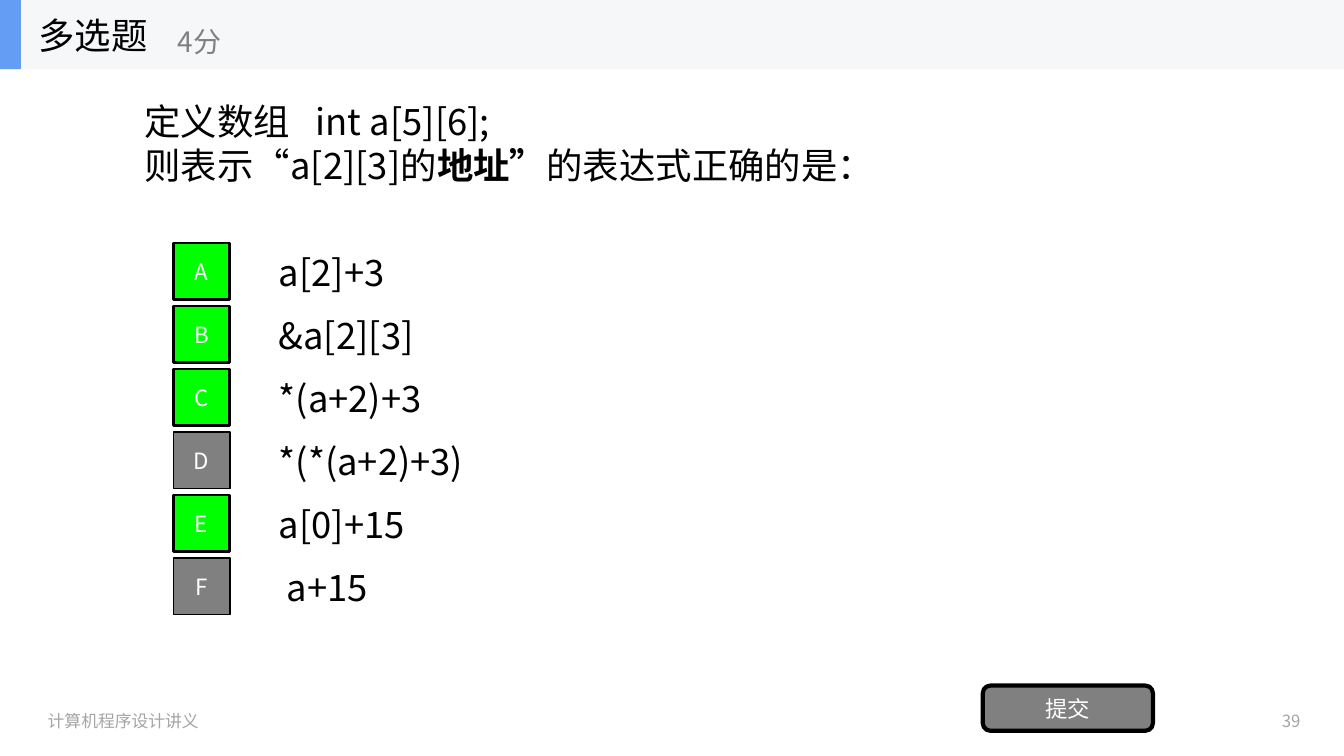
from collections import namedtuple

from lxml.etree import SubElement
from pptx import Presentation
from pptx.dml.color import RGBColor
from pptx.enum.shapes import MSO_SHAPE as Preset
from pptx.enum.text import MSO_ANCHOR, MSO_AUTO_SIZE, PP_ALIGN as Align
from pptx.oxml.ns import qn
from pptx.util import Inches, Pt

FONT = "Noto Sans CJK SC"
BLACK = RGBColor(0x00, 0x00, 0x00)
WHITE = RGBColor(0xFF, 0xFF, 0xFF)
GREEN = RGBColor(0x00, 0xFF, 0x00)
GRAY = RGBColor(0x80, 0x80, 0x80)
FOOTER_GRAY = RGBColor(0xA5, 0xA5, 0xA5)
BAR_GRAY = RGBColor(0xF6, 0xF7, 0xF8)
ACCENT_BLUE = RGBColor(0x63, 0x9E, 0xF4)

WIDTH, HEIGHT = Inches(13.33), Inches(7.5)
COLUMNS, ROWS = 64, 36
OPTION_PITCH = 3
INT_TAB = Inches(1.7)

OPTIONS = [
    ("A", "a[2]+3", True),
    ("B", "&a[2][3]", True),
    ("C", "*(a+2)+3", True),
    ("D", "*(*(a+2)+3)", False),
    ("E", "a[0]+15", True),
    ("F", " a+15", False),
]
QUESTION = [
    [("定义数组\tint a[5][6];", False)],
    [("则表示“a[2][3]的", False), ("地址”", True), ("的表达式正确的是：", False)],
]


class Box(namedtuple("Box", "col row cols rows")):
    def inner(self, col, row, cols, rows):
        return Box(self.col + col, self.row + row, cols, rows)

    def lengths(self):
        return (int(self.col * WIDTH / COLUMNS), int(self.row * HEIGHT / ROWS),
                int(self.cols * WIDTH / COLUMNS), int(self.rows * HEIGHT / ROWS))


def write(shape, lines, size, color, align=Align.LEFT):
    frame = shape.text_frame
    frame.word_wrap = True
    frame.auto_size = MSO_AUTO_SIZE.NONE
    frame.vertical_anchor = MSO_ANCHOR.MIDDLE
    for index, line in enumerate(lines):
        paragraph = frame.add_paragraph() if index else frame.paragraphs[0]
        paragraph.alignment = align
        for text, bold in line:
            run = paragraph.add_run()
            run.text = text
            run.font.name = FONT
            run.font.size = Pt(size)
            run.font.bold = bold
            run.font.color.rgb = color
            SubElement(run.font._element, qn("a:ea"), typeface=FONT)


def add_text(slide, box, text, size, color, align=Align.LEFT):
    label = slide.shapes.add_textbox(*box.lengths())
    write(label, [[(text, False)]], size, color, align)


def add_block(slide, preset, box, fill, border=0):
    block = slide.shapes.add_shape(preset, *box.lengths())
    block.shadow.inherit = False
    block.fill.solid()
    block.fill.fore_color.rgb = fill
    if border:
        block.line.color.rgb = BLACK
        block.line.width = Pt(border)
    else:
        block.line.fill.background()
    return block


def add_header(slide, box):
    add_block(slide, Preset.RECTANGLE, box, BAR_GRAY)
    add_block(slide, Preset.RECTANGLE, box.inner(0, 0, 1, box.rows), ACCENT_BLUE)
    title = slide.shapes.title
    title.left, title.top, title.width, title.height = box.inner(1.35, 0, 10, box.rows).lengths()
    write(title, [[("多选题", False)]], 26, BLACK)
    slide.shapes._spTree.append(title._element)
    add_text(slide, box.inner(8, 0.6, 12, 2.7), "4分", 20, GRAY)


def add_question(slide, box):
    question = slide.shapes.add_textbox(*box.lengths())
    write(question, QUESTION, 26, BLACK)
    properties = question.text_frame.paragraphs[0]._p.get_or_add_pPr()
    tabs = SubElement(properties, qn("a:tabLst"))
    SubElement(tabs, qn("a:tab"), pos=str(INT_TAB), algn="l")


def add_options(slide, box):
    for index, (letter, answer, correct) in enumerate(OPTIONS):
        row = index * OPTION_PITCH
        add_text(slide, box.inner(4.55, row, 44.8, 3.35), answer, 26, BLACK)
        key = add_block(slide, Preset.RECTANGLE, box.inner(0, row + 0.32, 2.7, 2.7),
                        GREEN if correct else GRAY, 2 if correct else 1)
        write(key, [[(letter, False)]], 16, WHITE, Align.CENTER)


def add_footer(slide, box):
    submit = add_block(slide, Preset.ROUNDED_RECTANGLE, box.inner(46.8, 0, 8.1, 2.15), GRAY, 3)
    write(submit, [[("提交", False)]], 16, WHITE, Align.CENTER)
    add_text(slide, box.inner(1.8, 0.7, 21.6, 1.9), "计算机程序设计讲义", 12, FOOTER_GRAY)
    add_text(slide, box.inner(58.5, 0.7, 3.9, 1.9), "39", 12, FOOTER_GRAY, Align.RIGHT)


def main():
    deck = Presentation()
    deck.slide_width, deck.slide_height = WIDTH, HEIGHT
    slide = deck.slides.add_slide(deck.slide_layouts[5])
    add_header(slide, Box(0, 0, COLUMNS, 3.3))
    add_question(slide, Box(6.4, 3.3, 51.2, 7))
    add_options(slide, Box(8.25, 11.25, 49.35, OPTION_PITCH * len(OPTIONS)))
    add_footer(slide, Box(0, 32.65, COLUMNS, 3.35))
    deck.save("out.pptx")


if __name__ == "__main__":
    main()
